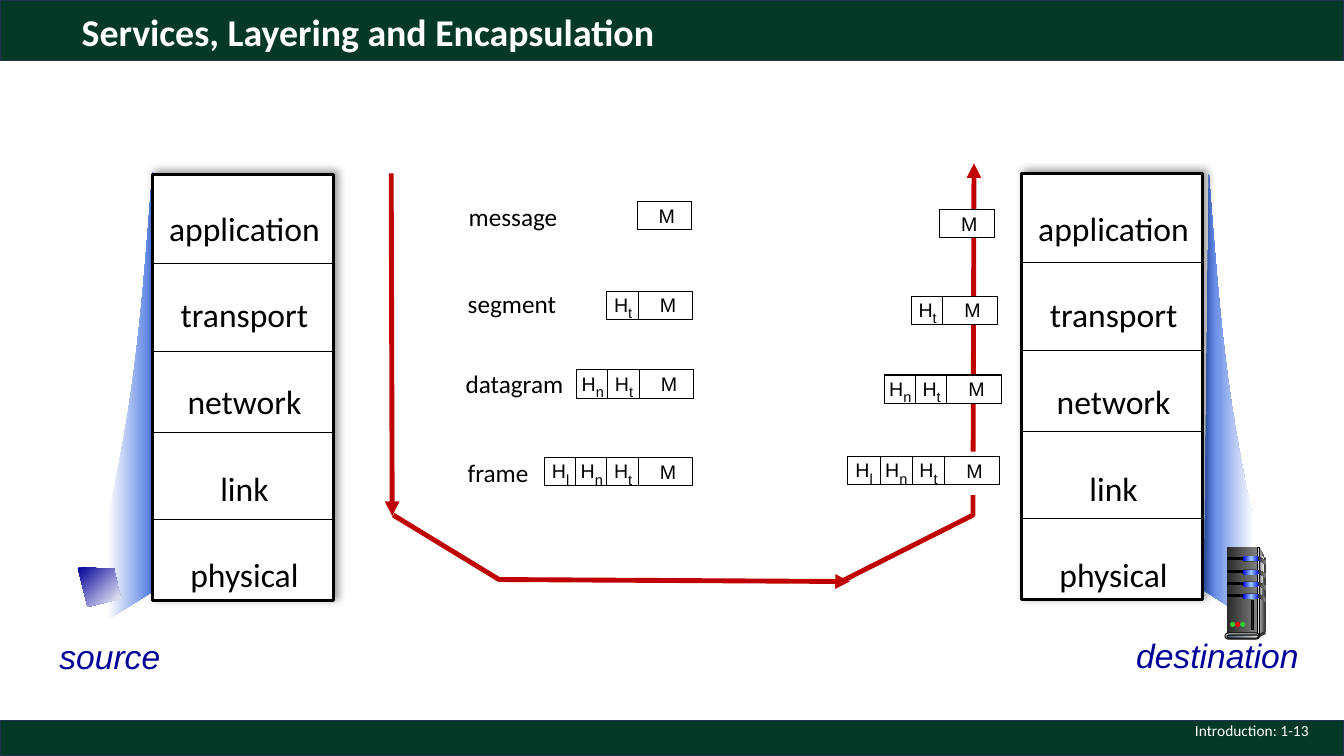
from copy import deepcopy
from lxml import etree
from pptx import Presentation
from pptx import util as u
from pptx.dml.color import RGBColor
from pptx.enum import shapes, text
from pptx.oxml.ns import qn

# Slide grid: 13.33 columns by 7.5 rows, one inch each
COLS, ROWS = 13.33, 7.5
INK = {
    "green": "043927", "navy": "1E3256", "red": "C00000", "black": "000000",
    "white": "FFFFFF", "beam": "3C6CDF", "name": "000099", "blue": "0000FF",
    "sky": "99CCFF", "coal": "292929", "dark": "333333", "grey": "808080",
    "silver": "DDDDDD", "pale": "F8F8F8", "slate": "44546A", "mist": "E7E6E6",
    "lime": "33CC33", "lamp": "FF0000",
}
RECT, OVAL = shapes.MSO_SHAPE.RECTANGLE, shapes.MSO_SHAPE.OVAL
PILL = shapes.MSO_SHAPE.ROUNDED_RECTANGLE
LEFT, MID, RIGHT = text.PP_ALIGN.LEFT, text.PP_ALIGN.CENTER, text.PP_ALIGN.RIGHT

prs = Presentation()
prs.slide_width, prs.slide_height = u.Inches(COLS), u.Inches(ROWS)
slide = prs.slides.add_slide(prs.slide_layouts[5])


def draw(kind, at, fill=None, line=None, pt=0.75, turn=0, head=False):
    """Add a preset shape, a "line" (two ends) or a "path" (list of points)."""
    if kind == "line":
        s = slide.shapes.add_connector(
            shapes.MSO_CONNECTOR.STRAIGHT, *[u.Inches(v) for v in at])
        etree.SubElement(s._element.spPr, qn("a:effectLst"))
    else:
        if kind == "path":
            dots = [(u.Inches(x), u.Inches(y)) for x, y in at]
            pen = slide.shapes.build_freeform(*dots[0])
            pen.add_line_segments(dots[1:], close=fill is not None)
            s = pen.convert_to_shape()
        else:
            s = slide.shapes.add_shape(kind, *[u.Inches(v) for v in at])
            if kind == PILL:
                s.adjustments[0] = 0.5
        s.shadow.inherit = False
        if fill is None:
            s.fill.background()
        elif isinstance(fill, str):
            s.fill.solid()
            s.fill.fore_color.rgb = RGBColor.from_string(INK[fill])
        else:
            s.fill.gradient()
            s.fill.gradient_angle = turn
            stops = s._element.xpath(".//a:gsLst")[0]
            if len(fill) == 3:
                stops.append(deepcopy(stops[-1]))
            for i, stop in enumerate(s.fill.gradient_stops):
                stop.position = i / (len(fill) - 1)
                stop.color.rgb = RGBColor.from_string(INK[fill[i]])
    if line:
        s.line.color.rgb = RGBColor.from_string(INK[line])
        s.line.width = u.Pt(pt)
        if head:
            ln = s._element.spPr.find(qn("a:ln"))
            etree.SubElement(ln, qn("a:tailEnd"), type="triangle")
    else:
        s.line.fill.background()
    return s


def write(at, words, size, ink="black", face="Calibri", align=LEFT, wrap=False, mid=False):
    """Add a text box and return its frame."""
    tf = slide.shapes.add_textbox(*[u.Inches(v) for v in at]).text_frame
    tf.text, tf.word_wrap = words, wrap
    if mid:
        tf.vertical_anchor = text.MSO_ANCHOR.MIDDLE
    for p in tf.paragraphs:
        p.alignment = align
        p.font.size, p.font.name = u.Pt(size), face
        for r in p.runs:
            r.font.size, r.font.name = u.Pt(size), face
            r.font.color.rgb = RGBColor.from_string(INK[ink])
    return tf


# Bars, title and page number
for top, high in ((0, 0.6), (7.15, 0.35)):
    draw(RECT, (0, top, COLS, high), "green", "navy", 1)
title = slide.shapes.title
slide.shapes._spTree.append(title._element)
title.left, title.top = u.Inches(0.71), u.Inches(0.08)
title.width, title.height = u.Inches(11.5), u.Inches(0.52)
tf = title.text_frame
tf.text = "Services, Layering and Encapsulation"
tf.auto_size = text.MSO_AUTO_SIZE.NONE
tf.vertical_anchor = text.MSO_ANCHOR.MIDDLE
head = tf.paragraphs[0]
head.alignment, head.line_spacing = LEFT, 0.9
font = head.runs[0].font
font.size, font.name, font.bold = u.Pt(27), "Calibri", True
font.color.rgb = RGBColor.from_string(INK["white"])
write((10.08, 7.05, 3, 0.4), "Introduction: 1-13", 11, "white", align=RIGHT, wrap=True, mid=True)

# Beams from the hosts to their stacks, bowed along a cubic curve
for edge, way, drop, fill in ((1.56, -1, 0, ("white", "beam")),
                              (11.94, 1, 0.02, ("beam", "white"))):
    bow = []
    for i in range(21):
        t = i / 20
        mix = ((1 - t) ** 3, 3 * t * (1 - t) ** 2, 3 * t * t * (1 - t), t ** 3)
        bow.append((edge + way * sum(m * v for m, v in zip(mix, (0.05, 0.18, 0.26, 0.49))),
                    drop + sum(m * v for m, v in zip(mix, (1.71, 3.49, 4.04, 5.15)))))
    draw("path", [(edge + way * 0.49, 6.15 + drop), (edge, 5.84 + drop)] + bow, fill)

# Source screen
draw("path", [(0.77, 5.63), (1.13, 5.64), (1.2, 5.94), (0.87, 6.02)],
     ("name", "white"), turn=315)

# Destination server: case
draw("path", [(12.49, 5.43), (12.55, 5.54), (12.55, 6.26), (12.47, 6.3)], ("silver", "dark"))
draw(RECT, (12.17, 5.43, 0.3, 0.87), ("coal", "grey"))
draw("path", [(12.49, 5.48), (12.54, 5.55), (12.51, 5.9), (12.49, 6.27)], ("grey", "pale"))
draw(RECT, (12.47, 5.43, 0.02, 0.87), ("dark", "silver", "dark"), "black")
# Drive bays
for y in (5.52, 5.65, 5.77, 5.89):
    draw(RECT, (12.17, y + 0.01, 0.17, 0.02), "black", "black")
    draw(PILL, (12.32, y, 0.17, 0.05), "black")
    draw(PILL, (12.33, y, 0.16, 0.05), ("blue", "sky", "blue"))
    draw("path", [(12.48, y), (12.55, y + 0.04), (12.55, y + 0.08), (12.48, y + 0.03)],
         ("coal", "grey"))
# Foot, lamps and slot
draw(OVAL, (12.54, 6.26, 0.01, 0.04), "dark")
draw("path", [(12.48, 6.29), (12.48, 6.33), (12.55, 6.29), (12.55, 6.26)], "dark")
draw(PILL, (12.15, 6.28, 0.34, 0.06), "silver", "black")
draw(PILL, (12.17, 6.3, 0.31, 0.03), ("slate", "mist"), "black")
for i, lamp in enumerate(("lime", "lamp", "lime")):
    draw(OVAL, (12.2 + 0.05 * i, 6.17, 0.05, 0.05), lamp)
draw(RECT, (12.41, 5.96, 0.02, 0.29), "coal", "black")

# Host names
for at, host in (((0.49, 6.26, 1.2, 0.5), "source"),
                 ((11.17, 6.25, 1.83, 0.5), "destination")):
    write(at, host, 24, "name", "Arial").paragraphs[0].runs[0].font.italic = True

# Protocol stacks
for x, y in ((1.51, 1.73), (10.13, 1.72)):
    case = draw(RECT, (x, y, 1.8, 4.23), "white", "black", 2.25)
    glow = etree.SubElement(case._element.spPr.find(qn("a:effectLst")), qn("a:outerShdw"),
                            blurRad=str(u.Pt(6)), dist=str(u.Pt(3)), dir="18900000",
                            algn="bl", rotWithShape="0")
    tone = etree.SubElement(glow, qn("a:srgbClr"), val=INK["black"])
    etree.SubElement(tone, qn("a:alpha"), val="40000")
    tf = write((x - 0.05, 1.55, 1.93, 4.41), "application\ntransport\nnetwork\nlink\nphysical",
               24, align=MID, wrap=True)
    for p in tf.paragraphs:
        p.line_spacing = 2.15
    for down in (0.88, 1.76, 2.56, 3.42):
        draw("line", (x - 0.01, y + down, x + 1.8, y + down), line="black", pt=0.5)

# Route down, across and up
draw("line", (3.88, 1.72, 3.89, 5.12), line="red", pt=3.5, head=True)
draw("path", [(8.34, 5.77), (9.65, 5.11), (9.66, 1.62)], line="red", pt=3.5, head=True)
draw("path", [(3.9, 5.11), (4.95, 5.75), (8.43, 5.77)], line="red", pt=3.5, head=True)
draw(RECT, (8.7, 4.48, 1.32, 0.43), "white")

# Packets: header cells of equal width, then the message cell
BODY, HIGH = 0.54, 0.28
for left, top, step, subs in (
        (6.32, 2, 0, ""), (6.02, 2.89, 0.31, "t"),
        (5.72, 3.67, 0.31, "nt"), (5.4, 4.54, 0.31, "lnt"),
        (9.32, 2.08, 0, ""), (9.04, 2.94, 0.31, "t"),
        (8.77, 3.72, 0.31, "nt"), (8.41, 4.53, 0.32, "lnt")):
    split = left + step * len(subs)
    draw(RECT, (left, top, split + BODY - left, HIGH), "white", "black")
    for i, sub in enumerate(subs):
        x = left + step * i
        draw("line", (x + step, top, x + step, top + HIGH), line="black")
        tf = write((x, top - 0.03, 0.32, 0.32), "H", 14, face="Arial", align=MID, mid=True)
        tf.margin_left = tf.margin_right = 0
        low = tf.paragraphs[0].add_run()
        low.text = sub
        low.font.size, low.font.name = u.Pt(18), "Arial"
        low.font.color.rgb = RGBColor.from_string(INK["black"])
        low.font._element.set("baseline", "-25000")
    write((split + 0.09, top - 0.03, 0.41, 0.33), "M", 14, face="Arial", align=MID, mid=True)

# Packet names
for x, y, wide, unit in ((4.55, 1.95, 1.09, "message"), (4.54, 2.81, 1.09, "segment"),
                         (4.52, 3.6, 1.18, "datagram"), (4.54, 4.49, 0.81, "frame")):
    write((x, y, wide, 0.4), unit, 18)

prs.save("out.pptx")
